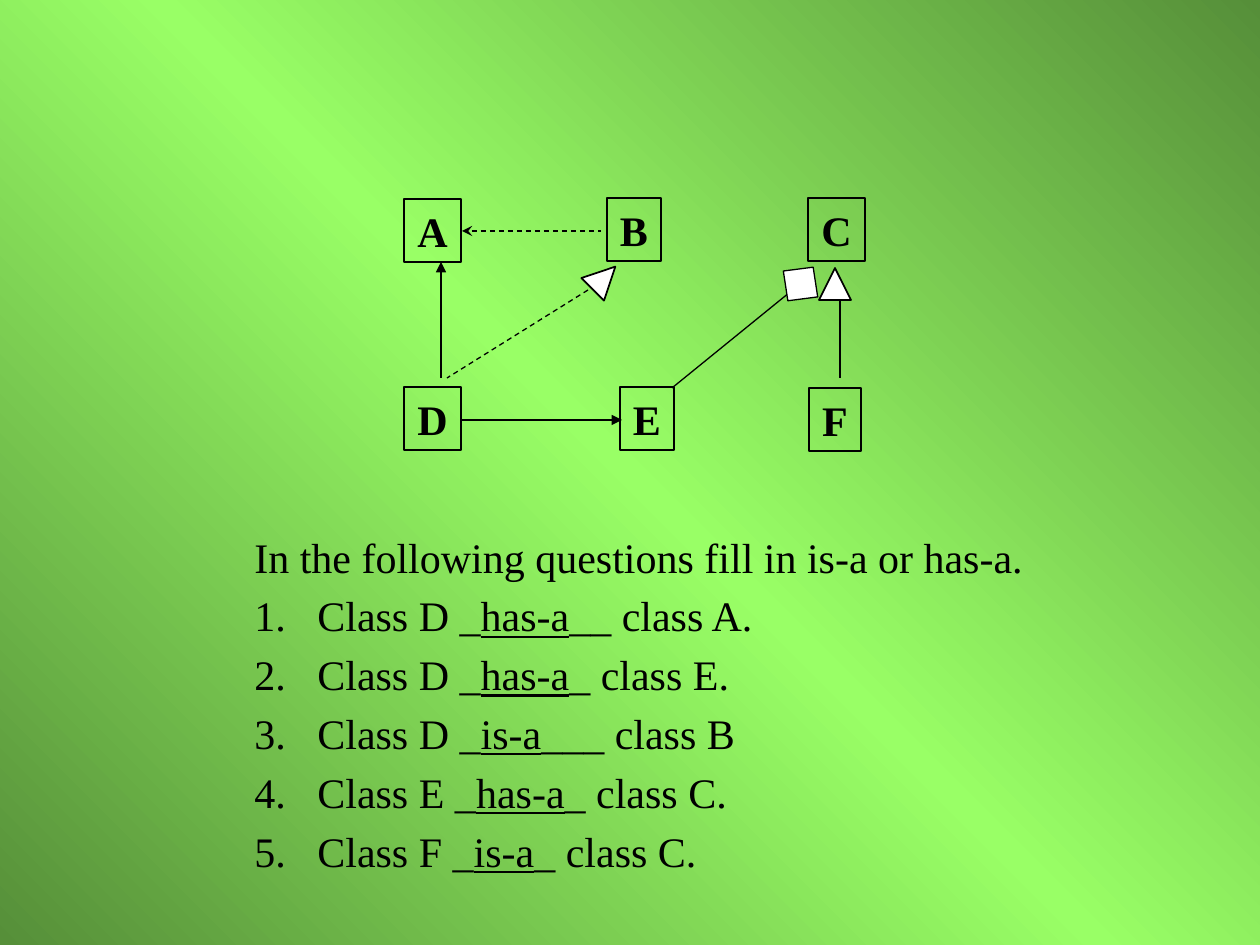
import copy
import dataclasses

import lxml.etree
import pptx
import pptx.dml.color
import pptx.enum.dml
import pptx.enum.shapes
import pptx.enum.text
import pptx.oxml.ns
import pptx.util

SCALE = 914400 / 126


@dataclasses.dataclass(frozen=True)
class Theme:
    """Colours, font and sizes of the slide."""
    ink: str = "000000"
    paper: str = "FFFFFF"
    dark: str = "568F39"
    bright: str = "99FF66"
    font: str = "Times New Roman"
    size: int = 24
    thin: float = 0.75
    marker: float = 1


THEME = Theme()
SHAPES = pptx.enum.shapes.MSO_SHAPE
DASHES = pptx.enum.dml.MSO_LINE
NODES = [("A", 0, 1, 57), ("B", 203, 0, 54), ("C", 404, 0, 57),
         ("D", 0, 189, 57), ("E", 216, 189, 54), ("F", 405, 190, 52)]
LINKS = [((436, 96), (436, 180), None, None),
         ((184, 92), (43, 180), DASHES.DASH, None),
         ((37, 64), (37, 180), None, "triangle"),
         ((58, 33), (197, 33), DASHES.DASH, "stealth"),
         ((396, 86), (268, 190), None, None),
         ((218, 222), (58, 222), None, "triangle")]
MARKERS = [(SHAPES.ISOSCELES_TRIANGLE, 184, 64, 32, 32, 45, THEME.marker),
           (SHAPES.ISOSCELES_TRIANGLE, 415, 70, 32, 32, 0, THEME.marker),
           (SHAPES.DIAMOND, 375, 65, 43, 42, 37, THEME.thin)]
QUESTIONS = [("Class D _", "has-a", "__ class A."),
             ("Class D _", "has-a", "_ class E."),
             ("Class D _", "is-a", "___ class B"),
             ("Class E _", "has-a", "_ class C."),
             ("Class F _", "is-a", "_ class C.")]


def px(length):
    """Turn pixels into EMU."""
    return pptx.util.Emu(round(length * SCALE))


def colour(value):
    """Return an RGB colour from its hex value."""
    return pptx.dml.color.RGBColor.from_string(value)


def write(para, text, bold=False, underline=False):
    """Add formatted text to a paragraph."""
    span = para.add_run()
    span.text = text
    span.font.name = THEME.font
    span.font.size = pptx.util.Pt(THEME.size)
    span.font.color.rgb = colour(THEME.ink)
    span.font.bold = bold
    span.font.underline = underline


def indent(para, hanging, numbered=False):
    """Give a paragraph a hanging indent and, if asked, a number."""
    properties = para._p.get_or_add_pPr()
    properties.set("marL", str(px(hanging)))
    properties.set("indent", str(-px(hanging)))
    if numbered:
        para.space_before = pptx.util.Pt(4.8)
        lxml.etree.SubElement(properties, pptx.oxml.ns.qn("a:buAutoNum"), type="arabicPeriod")


def outline(line, width):
    """Draw a line in ink at the given width."""
    line.color.rgb = colour(THEME.ink)
    line.width = pptx.util.Pt(width)


def paint_background(page):
    """Fill the page with a diagonal gradient, bright in the middle."""
    fill = page.background.fill
    fill.gradient()
    fill.gradient_angle = 45
    stop_list = page._element.find(".//" + pptx.oxml.ns.qn("a:gsLst"))
    stop_list.append(copy.deepcopy(stop_list[-1]))
    values = [(0, THEME.dark), (0.5, THEME.bright), (1, THEME.dark)]
    for stop, (position, value) in zip(fill.gradient_stops, values):
        stop.position = position
        stop.color.rgb = colour(value)


def add_node(page, name, left, top, width, height):
    """Draw one class as a named rectangle."""
    box = page.shapes.add_shape(SHAPES.RECTANGLE, px(left), px(top), px(width), px(height))
    box.shadow.inherit = False
    box.fill.background()
    outline(box.line, THEME.thin)
    box.text_frame.word_wrap = False
    para = box.text_frame.paragraphs[0]
    para.alignment = pptx.enum.text.PP_ALIGN.CENTER
    write(para, name, bold=True)


def add_link(page, start, end, dash, head):
    """Draw a line, with an optional arrowhead at its start."""
    link = page.shapes.add_connector(
        pptx.enum.shapes.MSO_CONNECTOR.STRAIGHT, *map(px, start + end))
    outline(link.line, THEME.thin)
    if dash:
        link.line.dash_style = dash
    if head:
        line = link.line._get_or_add_ln()
        lxml.etree.SubElement(line, pptx.oxml.ns.qn("a:headEnd"), type=head)
    lxml.etree.SubElement(link._element.spPr, pptx.oxml.ns.qn("a:effectLst"))


def add_marker(page, kind, left, top, width, height, rotation, weight):
    """Draw a white relation marker."""
    marker = page.shapes.add_shape(kind, px(left), px(top), px(width), px(height))
    marker.shadow.inherit = False
    marker.rotation = rotation
    marker.fill.solid()
    marker.fill.fore_color.rgb = colour(THEME.paper)
    outline(marker.line, weight)


def add_diagram(page, left, top):
    """Place the class diagram at the given corner."""
    for name, x, y, width in NODES:
        add_node(page, name, left + x, top + y, width, 63)
    for (x1, y1), (x2, y2), dash, head in LINKS:
        add_link(page, (left + x1, top + y1), (left + x2, top + y2), dash, head)
    for kind, x, y, *rest in MARKERS:
        add_marker(page, kind, left + x, top + y, *rest)


def add_questions(page, left, top, width, height):
    """Place the instruction and the numbered questions."""
    box = page.shapes.add_textbox(px(left), px(top), px(width), px(height))
    frame = box.text_frame
    frame.word_wrap = True
    indent(frame.paragraphs[0], 48)
    write(frame.paragraphs[0], "In the following questions fill in is-a or has-a.")
    for before, answer, after in QUESTIONS:
        para = frame.add_paragraph()
        indent(para, 63, numbered=True)
        write(para, before)
        write(para, answer, underline=True)
        write(para, after)


def main():
    """Build and save the deck."""
    deck = pptx.Presentation()
    deck.slide_width, deck.slide_height = px(1260), px(945)
    page = deck.slides.add_slide(deck.slide_layouts[6])
    paint_background(page)
    add_questions(page, 242, 525, 903, 368)
    add_diagram(page, 404, 198)
    deck.save("out.pptx")


if __name__ == "__main__":
    main()
